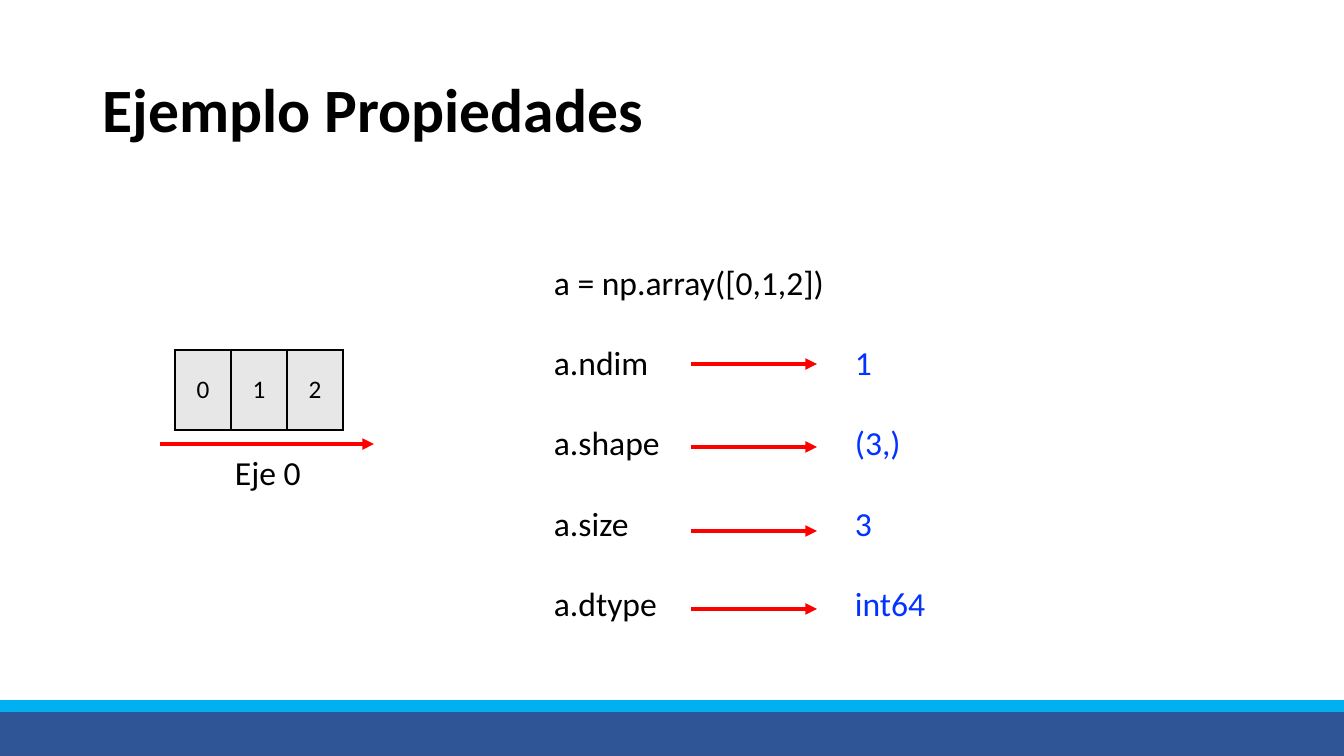
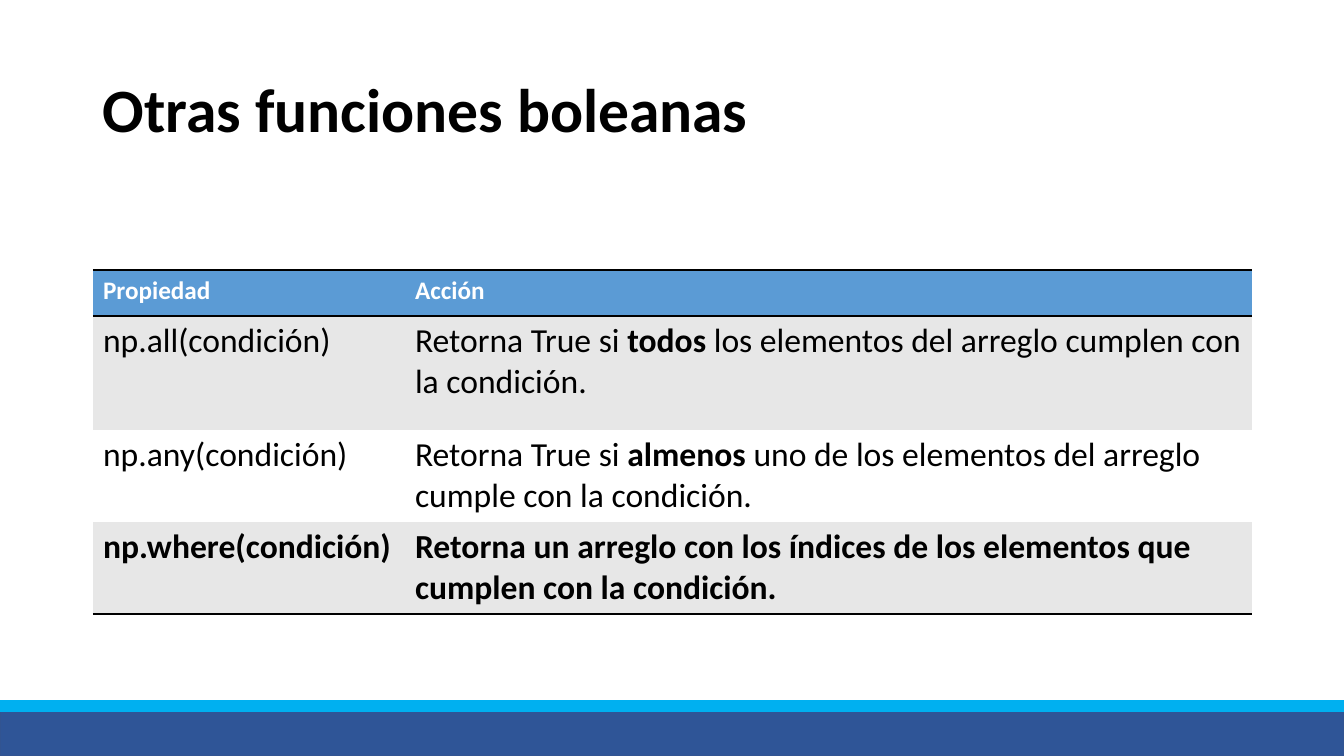
from dataclasses import dataclass
from typing import NamedTuple

from lxml.etree import SubElement
from pptx import Presentation
from pptx.dml.color import RGBColor
from pptx.enum.shapes import MSO_CONNECTOR as CONN, MSO_SHAPE as SHAPE
from pptx.enum.text import MSO_ANCHOR as ANCHOR, PP_ALIGN as ALIGN
from pptx.oxml.ns import qn
from pptx.util import Emu, Pt

PX_PER_INCH = 100.8
FONT = "Calibri"
BLACK, WHITE, GREY = "000000", "FFFFFF", "E7E7E7"
RED, BLUE, HEADER = "FF0000", "0432FF", "5B9BD5"
PLAIN_TABLE = "{2D5ABB26-0587-4C30-8999-92F81FD0307C}"


class Box(NamedTuple):
    x: int
    y: int
    w: int
    h: int


class Span(NamedTuple):
    text: str
    color: str = BLACK
    bold: bool = False


@dataclass(frozen=True)
class Band:
    box: Box
    fill: str
    line: str


@dataclass(frozen=True)
class Property:
    name: str
    value: str
    arrow_y: int


@dataclass(frozen=True)
class Row:
    height: int
    cells: list[list[Span]]
    fill: str
    size: int = 24
    borders: str = ""


BANDS = [
    Band(Box(0, 709, 1344, 47), "2F5597", "325491"),
    Band(Box(0, 701, 1344, 10), "00B0F0", "00B0F0"),
]
TITLE_BOX = Box(93, 40, 1159, 146)

PROPERTIES = [
    Property("a.ndim", "1", 364),
    Property("a.shape", "(3,)", 447),
    Property("a.size", "3", 531),
    Property("a.dtype", "int64", 609),
]

FUNCTION_ROWS = [
    Row(46, [[Span("Propiedad", WHITE, True)], [Span("Acción", WHITE, True)]],
        HEADER, 18, "TB"),
    Row(114, [[Span("np.all(condición)")],
              [Span("Retorna True si "), Span("todos ", bold=True),
               Span("los elementos del arreglo cumplen con la condición.")]], GREY),
    Row(92, [[Span("np.any(condición)")],
             [Span("Retorna True si "), Span("almenos ", bold=True),
              Span("uno de los elementos del arreglo cumple con la condición.")]], WHITE),
    Row(92, [[Span("np.where(condición)", bold=True)],
             [Span("Retorna un arreglo con los índices de los elementos que "
                   "cumplen con la condición.", bold=True)]], GREY, borders="B"),
]


def px(n: int) -> Emu:
    return Emu(round(n * 914400 / PX_PER_INCH))


def rgb(color: str) -> RGBColor:
    return RGBColor.from_string(color)


def add_spans(p, spans: list[Span], size: int) -> None:
    for span in spans:
        r = p.add_run()
        r.text = span.text
        r.font.name = FONT
        r.font.size = Pt(size)
        r.font.bold = span.bold
        r.font.color.rgb = rgb(span.color)


def add_text_frame(slide, box: Box):
    tf = slide.shapes.add_textbox(*map(px, box)).text_frame
    tf.word_wrap = True
    return tf


def add_band(slide, band: Band) -> None:
    sp = slide.shapes.add_shape(SHAPE.RECTANGLE, *map(px, band.box))
    sp.shadow.inherit = False
    sp.fill.solid()
    sp.fill.fore_color.rgb = rgb(band.fill)
    sp.line.color.rgb = rgb(band.line)
    sp.line.width = Pt(1)


def add_base_slide(prs, title: str):
    """Add a blank slide with the shared bands and title."""
    slide = prs.slides.add_slide(prs.slide_layouts[6])
    for band in BANDS:
        add_band(slide, band)
    tf = add_text_frame(slide, TITLE_BOX)
    tf.vertical_anchor = ANCHOR.MIDDLE
    p = tf.paragraphs[0]
    p.line_spacing = 0.9
    add_spans(p, [Span(title, bold=True)], 44)
    return slide


def add_arrow(slide, x1: int, x2: int, y: int) -> None:
    arrow = slide.shapes.add_connector(CONN.STRAIGHT, px(x1), px(y), px(x2), px(y))
    arrow.line.color.rgb = rgb(RED)
    arrow.line.width = Pt(2.75)
    SubElement(arrow.line._get_or_add_ln(), qn("a:tailEnd"), type="triangle")
    SubElement(arrow._element.spPr, qn("a:effectLst"))


def set_borders(cell, sides: str, points: int) -> None:
    """Draw the sides named by the letters L, R, T and B, in that order."""
    tc_pr = cell._tc.get_or_add_tcPr()
    for side in sides:
        ln = SubElement(tc_pr, qn(f"a:ln{side}"), w=str(Pt(points)))
        SubElement(SubElement(ln, qn("a:solidFill")), qn("a:srgbClr"), val=BLACK)


def add_grid(slide, x: int, y: int, widths: list[int], rows: list[Row],
             border_points: int, centred: bool = False) -> None:
    box = Box(x, y, sum(widths), sum(row.height for row in rows))
    table = slide.shapes.add_table(len(rows), len(widths), *map(px, box)).table
    table._tbl.tblPr.find(qn("a:tableStyleId")).text = PLAIN_TABLE
    for column, width in zip(table.columns, widths):
        column.width = px(width)
    for i, row in enumerate(rows):
        table.rows[i].height = px(row.height)
        for cell, spans in zip(table.rows[i].cells, row.cells):
            set_borders(cell, row.borders, border_points)
            cell.fill.solid()
            cell.fill.fore_color.rgb = rgb(row.fill)
            p = cell.text_frame.paragraphs[0]
            add_spans(p, spans, row.size)
            if centred:
                cell.vertical_anchor = ANCHOR.MIDDLE
                p.alignment = ALIGN.CENTER


def add_tab_stop(p, position: int) -> None:
    tabs = SubElement(p._p.get_or_add_pPr(), qn("a:tabLst"))
    SubElement(tabs, qn("a:tab"), pos=str(px(position)), algn="l")


def build_properties(prs) -> None:
    slide = add_base_slide(prs, "Ejemplo Propiedades")
    add_arrow(slide, 160, 374, 444)
    axis = add_text_frame(slide, Box(225, 447, 99, 50))
    add_spans(axis.paragraphs[0], [Span("Eje 0")], 24)

    code = add_text_frame(slide, Box(544, 257, 506, 375))
    add_spans(code.paragraphs[0], [Span("a = np.array([0,1,2])")], 24)
    for prop in PROPERTIES:
        p = code.add_paragraph()
        p.space_before = Pt(28.5)
        add_tab_stop(p, 301)
        add_spans(p, [Span(f"{prop.name}\t"), Span(prop.value, BLUE)], 24)
        add_arrow(slide, 691, 817, prop.arrow_y)

    array = Row(80, [[Span(str(n))] for n in range(3)], GREY, 18, "LRTB")
    add_grid(slide, 175, 350, [56] * 3, [array], 1, centred=True)


def build_functions(prs) -> None:
    slide = add_base_slide(prs, "Otras funciones boleanas")
    add_grid(slide, 93, 270, [312, 847], FUNCTION_ROWS, 2)


def main() -> None:
    prs = Presentation()
    prs.slide_width, prs.slide_height = px(1344), px(756)
    build_properties(prs)
    build_functions(prs)
    prs.save("out.pptx")


if __name__ == "__main__":
    main()
